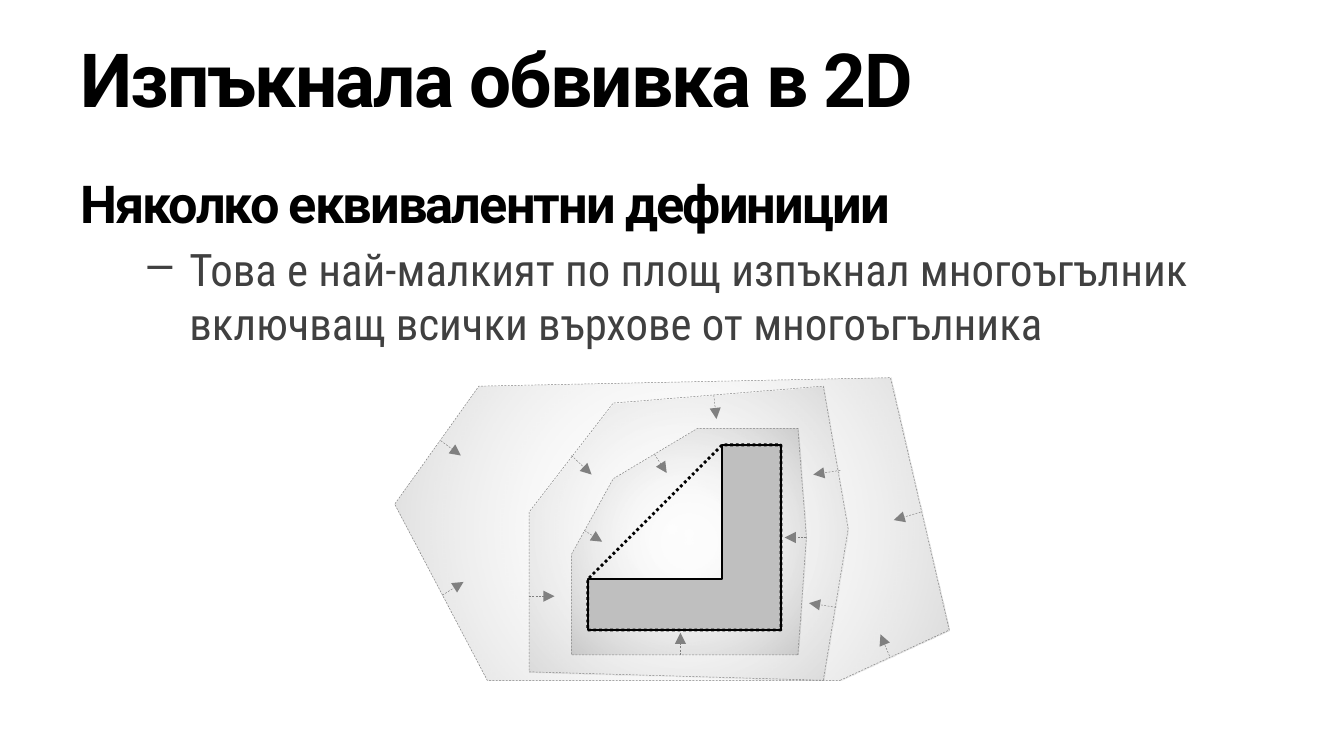
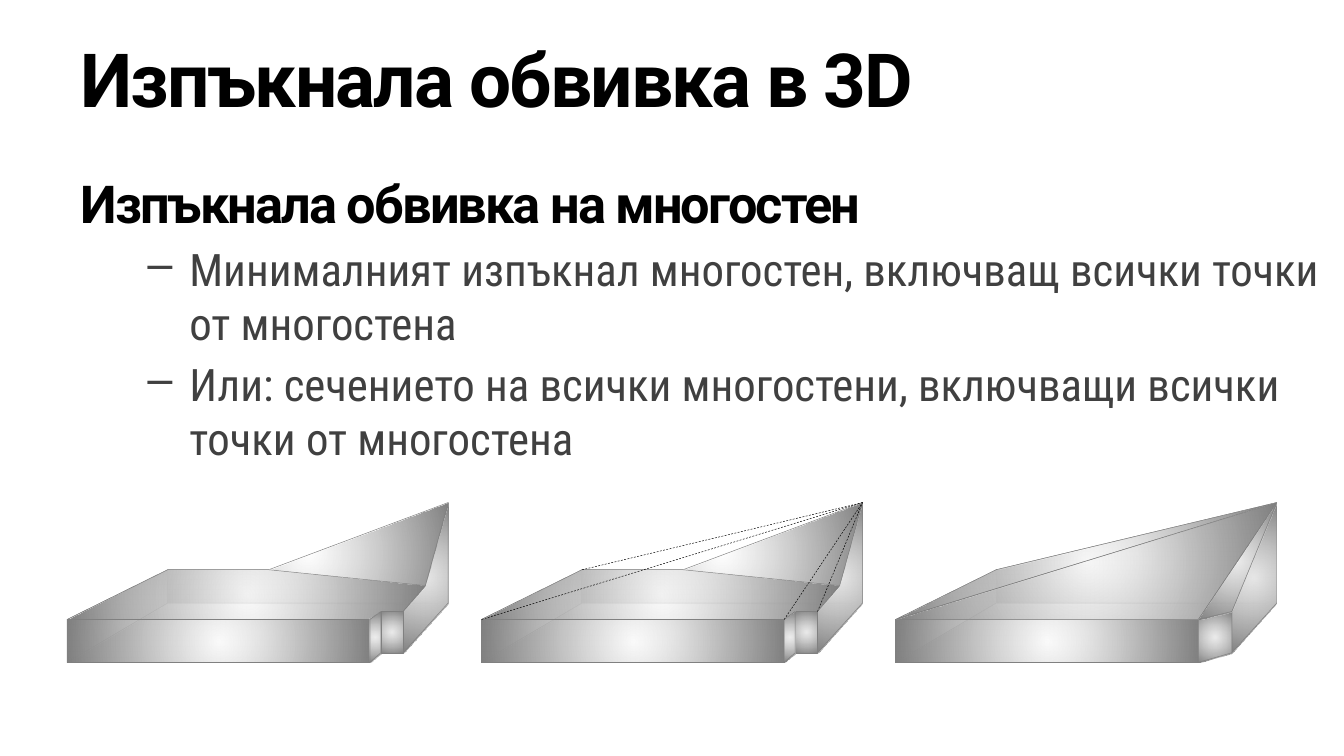
from pptx import Presentation, util as u
from pptx.dml.color import RGBColor
from pptx.enum import dml, shapes, text
from pptx.oxml import parse_xml
from pptx.oxml.ns import nsdecls, qn
from pptx.oxml.xmlchemy import OxmlElement

BLACK, DARK, GREY, MID, LIGHT, WHITE = (
    "000000", "404040", "808080", "A6A6A6", "BFBFBF", "FFFFFF")
DASH, DOT = dml.MSO_LINE.DASH, dml.MSO_LINE.ROUND_DOT


def rgb(code):
    return RGBColor.from_string(code)


class Deck:
    bold, plain = "Roboto", "Roboto Condensed"

    def __init__(self):
        self.prs = Presentation()
        self.prs.slide_width = u.Cm(25.4)
        self.prs.slide_height = u.Cm(14.29)

    def page(self, title, head, items):
        """Start a slide with its title, heading and dash list."""
        blank = self.prs.slide_layouts[6]
        self.slide = self.prs.slides.add_slide(blank)
        self.top = self.slide.shapes
        frame = self.box(0.38, 2.16, text.MSO_ANCHOR.MIDDLE)
        self.run(frame.paragraphs[0], title, 40)
        frame = self.box(3.12, 10.8, text.MSO_ANCHOR.TOP)
        para = frame.paragraphs[0]
        self.indent(para, 0.97, 0.97)
        self.run(para, head, 28)
        for item in items:
            self.bullet(frame.add_paragraph(), item)

    def box(self, y, high, anchor):
        shape = self.top.add_textbox(
            u.Cm(1.27), u.Cm(y), u.Cm(24.13), u.Cm(high))
        frame = shape.text_frame
        frame.word_wrap = True
        frame.vertical_anchor = anchor
        return frame

    def indent(self, para, left, hang):
        props = para._p.get_or_add_pPr()
        props.set("marL", str(u.Cm(left)))
        props.set("indent", str(-u.Cm(hang)))
        return props

    def bullet(self, para, words):
        mark = OxmlElement("a:buChar")
        mark.set("char", "–")
        self.indent(para, 2.06, 0.79).append(mark)
        para.level = 1
        para.space_before = u.Pt(4)
        self.run(para, words, 24, False)

    def run(self, para, words, size, bold=True):
        run = para.add_run()
        run.text = words
        font = run.font
        font.size, font.bold = u.Pt(size), bold
        font.name = self.bold if bold else self.plain
        font.color.rgb = rgb(BLACK if bold else DARK)
        if bold:
            run._r.get_or_add_rPr().set("spc", "-100")

    def stroke(self, line, color, width, dash=None):
        line.color.rgb = rgb(color)
        line.width = u.Pt(width)
        if dash:
            line.dash_style = dash

    def poly(self, dots, home=None, color=GREY, width=0.25, dash=None):
        """Closed outline without fill, from points in cm."""
        dots = [(u.Cm(x), u.Cm(y)) for x, y in dots]
        form = (home or self.top).build_freeform(*dots[0])
        form.add_line_segments(dots[1:], close=True)
        shape = form.convert_to_shape()
        shape.shadow.inherit = False
        shape.fill.background()
        self.stroke(shape.line, color, width, dash)
        return shape

    def glow(self, shape, edge, core, rim):
        """Round gradient from white to edge; core and rim are opacities."""
        stops = "".join(
            f'<a:gs pos="{pos}"><a:srgbClr val="{color}">'
            f'<a:alpha val="{alpha * 1000}"/></a:srgbClr></a:gs>'
            for pos, color, alpha in ((0, WHITE, core), (100000, edge, rim)))
        grad = parse_xml(
            f'<a:gradFill {nsdecls("a")} rotWithShape="1"><a:gsLst>{stops}'
            '</a:gsLst><a:path path="circle"><a:fillToRect l="50000" '
            't="50000" r="50000" b="50000"/></a:path></a:gradFill>')
        props = shape._element.spPr
        props.replace(props.find(qn("a:noFill")), grad)

    def line(self, start, end, home=None, color=GREY, dash=None, head=False):
        link = (home or self.top).add_connector(
            shapes.MSO_CONNECTOR.STRAIGHT, *map(u.Cm, (*start, *end)))
        self.stroke(link.line, color, 0.25, dash)
        link._element.spPr.append(OxmlElement("a:effectLst"))
        if head:
            tip = OxmlElement("a:tailEnd")
            tip.set("type", "triangle")
            link.line._get_or_add_ln().append(tip)

    def solid(self, left, faces):
        """Group of faces; a two-letter face is an edge."""
        home = self.top.add_group_shape().shapes
        for face in faces.split():
            dots = place(face, left)
            if len(dots) == 2:
                self.line(*dots, home)
            else:
                self.glow(self.poly(dots, home), GREY, 75, 100)


# Nested rings shrinking onto the L shape: edge colour, points
RINGS = (
    (GREY, [(15.88, 12.86), (17.94, 11.91), (16.83, 7.14), (9.05, 7.3),
            (7.46, 9.53), (9.21, 12.86)]),
    (MID, [(15.56, 12.86), (16.03, 10), (15.56, 7.3), (11.59, 7.62),
           (10, 9.68), (10, 12.7)]),
    (GREY, [(15.08, 12.38), (15.24, 10.16), (15.08, 8.1), (13.18, 8.1),
            (11.59, 9.05), (10.8, 10.48), (10.8, 12.38)]),
)
ARROWS = (
    # inner ring
    ((11.05, 10.03), (11.38, 10.24)), ((12.37, 8.59), (12.6, 8.94)),
    ((12.86, 12.38), (12.86, 11.96)), ((15.24, 10.16), (14.83, 10.16)),
    # middle ring
    ((13.49, 7.47), (13.54, 7.92)), ((10.8, 8.61), (11.18, 8.97)),
    ((10, 11.27), (10.48, 11.27)), ((15.88, 8.89), (15.37, 8.97)),
    ((15.8, 11.48), (15.29, 11.4)),
    # outer ring
    ((17.4, 9.68), (16.89, 9.83)), ((16.81, 12.4), (16.64, 11.99)),
    ((8.36, 11.25), (8.76, 11)), ((8.33, 8.33), (8.71, 8.61)),
)
ELL = [(11.11, 11.91), (14.76, 11.91), (14.76, 8.41), (13.65, 8.41),
       (13.65, 10.95), (11.11, 10.95)]
HULL = ELL[:4] + ELL[5:]

# Corners of the solid, x measured from its left edge
CORNERS = {
    "A": (1.9, 10.77), "B": (1.9, 11.4),      # back left
    "C": (0, 11.71), "D": (0, 12.52),         # front left
    "E": (5.72, 11.71), "F": (5.72, 12.52),   # front right
    "G": (5.93, 11.56), "H": (5.93, 12.34),   # notch
    "I": (6.35, 11.56), "J": (6.35, 12.34),   # right side
    "K": (6.77, 11.07), "R": (3.81, 10.77),   # foot of the slope
    "P": (7.2, 9.5), "Q": (7.2, 11.4),        # peak
}
BODY = "ABDC BQPRA QJHFDB RKIGECA EFDC PQJIK IJHG HFEG"
WRAP = "ABDC BQPA QJFDB APC EFDC PQJI JFEI IP CPE EPI"
LEFT, STEP = 1.27, 7.83


def place(names, left):
    return [(left + CORNERS[n][0], CORNERS[n][1]) for n in names]


def flat(deck):
    deck.page("Изпъкнала обвивка в 2D", "Няколко еквивалентни дефиниции", [
        "Това е най-малкият по площ изпъкнал многоъгълник "
        "включващ всички върхове от многоъгълника"])
    for edge, dots in RINGS:
        deck.glow(deck.poly(dots, dash=DASH), edge, 0, 30)
    for start, end in ARROWS:
        deck.line(start, end, dash=DASH, head=True)
    ell = deck.poly(ELL, color=BLACK, width=1)
    ell.fill.solid()
    ell.fill.fore_color.rgb = rgb(LIGHT)
    deck.poly(HULL, color=BLACK, width=1.5, dash=DOT)


def deep(deck):
    deck.page("Изпъкнала обвивка в 3D", "Изпъкнала обвивка на многостен", [
        "Минималният изпъкнал многостен, включващ всички точки "
        "от многостена",
        "Или: сечението на всички многостени, включващи всички "
        "точки от многостена"])
    for i, faces in enumerate((BODY, BODY, WRAP)):
        deck.solid(LEFT + i * STEP, faces)
    # New hull edges over the middle solid
    for edge in ("AP", "IP", "EP", "CP"):
        deck.line(*place(edge, LEFT + STEP), color=BLACK, dash=DASH)


def main():
    deck = Deck()
    flat(deck)
    deep(deck)
    deck.prs.save("out.pptx")


if __name__ == "__main__":
    main()
